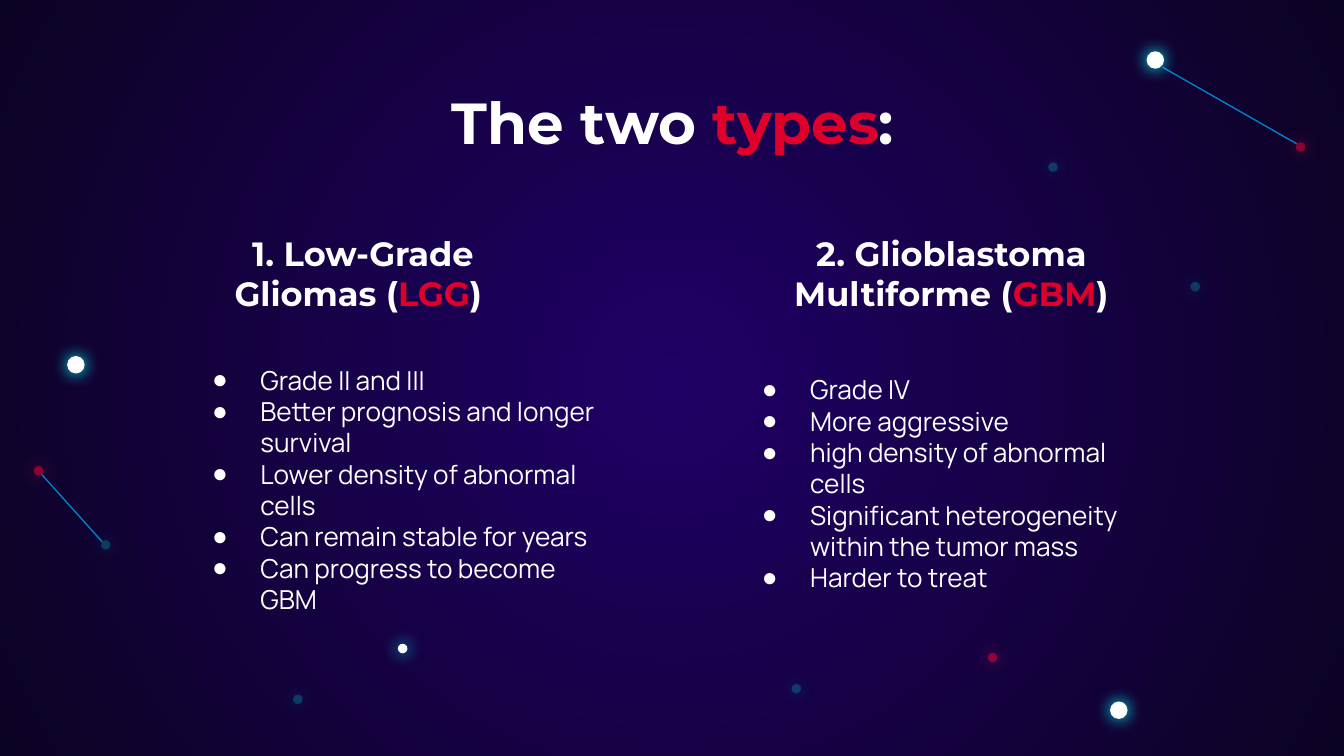
from lxml import etree
from pptx import Presentation
from pptx.dml.color import RGBColor
from pptx.enum.shapes import MSO_CONNECTOR, MSO_SHAPE
from pptx.enum.text import MSO_ANCHOR, MSO_AUTO_SIZE, PP_ALIGN
from pptx.oxml.ns import qn
from pptx.util import Cm, Pt

# Content: text runs are (text, is accented)
TITLE = [("The two ", False), ("types", True), (":", False)]
TYPES = [
    {
        "heading": [("1. Low-Grade Gliomas (", False), ("LGG", True), (") ", False)],
        "points": [
            "Grade II and III",
            "Better prognosis and longer survival",
            "Lower density of abnormal cells",
            "Can remain stable for years",
            "Can progress to become GBM",
        ],
        "heading_box": (2.01, 4.7, 8.43, 1.47),
        "heading_indent": 1.27,
        "list_box": (3.4, 6.63, 8.41, 3.68),
    },
    {
        "heading": [("2. Glioblastoma Multiforme (", False), ("GBM", True), (")", False)],
        "points": [
            "Grade IV",
            "More aggressive",
            "high density of abnormal cells",
            "Significant heterogeneity within the tumor mass",
            "Harder to treat",
        ],
        "heading_box": (13.79, 4.7, 8.38, 1.47),
        "heading_indent": 0,
        "list_box": (13.79, 6.81, 8.41, 3.68),
    },
]
TITLE_BOX = (2.01, 1.5, 21.41, 1.57)

THEME = {
    "text": "FFFFFF", "accent": "DE002B", "line": "007FCA",
    "background": ("1F0065", "0C0223"),
    "heading_font": "Montserrat", "body_font": "Manrope",
    "title_size": 31, "heading_size": 18, "body_size": 14,
}

# Stars: kind -> (diameter, fill, opacity %, glow), then their left and top
STAR_KINDS = {
    "bright": (0.33, "FFFFFF", 100, "00FFFD"),
    "white": (0.18, "FFFFFF", 100, "00FFFD"),
    "cyan": (0.18, "00FFFD", 20, "00FFFD"),
    "red": (0.18, "FF003A", 48, "FF2758"),
}
STARS = {
    "bright": [(1.27, 6.73), (20.98, 13.26), (21.67, 0.97)],
    "white": [(7.52, 12.17)],
    "cyan": [(1.91, 10.21), (14.96, 12.93), (5.54, 13.13), (19.81, 3.07), (22.5, 5.33)],
    "red": [(0.64, 8.81), (24.49, 2.69), (18.67, 12.34)],
}
STAR_LINES = [(1.93, 10.24, 0.79, 8.97), (21.97, 1.27, 24.51, 2.72)]


def color(name):
    return RGBColor.from_string(THEME[name])


def add_xml(parent, tag, **attributes):
    return etree.SubElement(parent, qn(tag), {k: str(v) for k, v in attributes.items()})


def place(shape, box, anchor):
    shape.left, shape.top, shape.width, shape.height = map(Cm, box)
    frame = shape.text_frame
    frame.auto_size = MSO_AUTO_SIZE.NONE
    frame.word_wrap = True
    frame.vertical_anchor = anchor
    frame.margin_left = frame.margin_right = Cm(0.25)
    frame.margin_top = frame.margin_bottom = Cm(0.25)
    return frame


def style(paragraph, font, size, bold):
    paragraph.space_before = Pt(0)
    paragraph.font.name = THEME[font]
    paragraph.font.size = Pt(THEME[size])
    paragraph.font.bold = bold
    paragraph.font.color.rgb = color("text")


def fill_heading(shape, box, runs, size, anchor, indent=0):
    paragraph = place(shape, box, anchor).paragraphs[0]
    paragraph.alignment = PP_ALIGN.CENTER
    paragraph._p.get_or_add_pPr().set("marL", str(Cm(indent)))
    style(paragraph, "heading_font", size, True)
    for text, accented in runs:
        run = paragraph.add_run()
        run.text = text
        if accented:
            run.font.color.rgb = color("accent")


def fill_list(shape, box, points):
    frame = place(shape, box, MSO_ANCHOR.TOP)
    frame.text = "\n".join(points)
    for paragraph in frame.paragraphs:
        properties = paragraph._p.get_or_add_pPr()
        properties.set("marL", str(Cm(1.27)))
        properties.set("indent", str(Cm(-0.91)))
        add_xml(add_xml(properties, "a:buClr"), "a:srgbClr", val=THEME["text"])
        add_xml(properties, "a:buChar", char="●")
        style(paragraph, "body_font", "body_size", False)


def add_star(slide, kind, left, top):
    diameter, fill, opacity, glow = STAR_KINDS[kind]
    star = slide.shapes.add_shape(
        MSO_SHAPE.OVAL, Cm(left), Cm(top), Cm(diameter), Cm(diameter))
    star.fill.solid()
    star.fill.fore_color.rgb = RGBColor.from_string(fill)
    star.line.fill.background()
    properties = star._element.spPr
    if opacity < 100:
        add_xml(properties.find(".//" + qn("a:srgbClr")), "a:alpha", val=opacity * 1000)
    shadow = add_xml(add_xml(properties, "a:effectLst"), "a:outerShdw",
                     blurRad=Pt(9), dist=0, algn="ctr", rotWithShape=0)
    add_xml(shadow, "a:srgbClr", val=glow)


def add_star_line(slide, ends):
    line = slide.shapes.add_connector(MSO_CONNECTOR.STRAIGHT, *map(Cm, ends))
    line.line.color.rgb = color("line")
    line.line.width = Pt(0.75)
    add_xml(line._element.spPr, "a:effectLst")


def set_background(slide):
    fill = slide.background.fill
    fill.gradient()
    for stop, value, position in zip(fill.gradient_stops, THEME["background"], (0, 1)):
        stop.color.rgb = RGBColor.from_string(value)
        stop.position = position
    gradient = slide._element.find(".//" + qn("a:gradFill"))
    gradient.remove(gradient.find(qn("a:lin")))
    circle = add_xml(gradient, "a:path", path="circle")
    add_xml(circle, "a:fillToRect", l=50000, t=50000, r=50000, b=50000)


def main():
    presentation = Presentation()
    presentation.slide_width, presentation.slide_height = Cm(25.4), Cm(14.29)
    slide = presentation.slides.add_slide(presentation.slide_layouts.get_by_name("Comparison"))
    set_background(slide)

    # Title and the two columns
    title, *columns = slide.placeholders
    fill_heading(title, TITLE_BOX, TITLE, "title_size", MSO_ANCHOR.MIDDLE)
    for kind, heading, points in zip(TYPES, columns[::2], columns[1::2]):
        fill_heading(heading, kind["heading_box"], kind["heading"], "heading_size",
                     MSO_ANCHOR.BOTTOM, kind["heading_indent"])
        fill_list(points, kind["list_box"], kind["points"])

    # Starry decoration
    for ends in STAR_LINES:
        add_star_line(slide, ends)
    for kind, places in STARS.items():
        for left, top in places:
            add_star(slide, kind, left, top)

    presentation.save("out.pptx")


if __name__ == "__main__":
    main()
